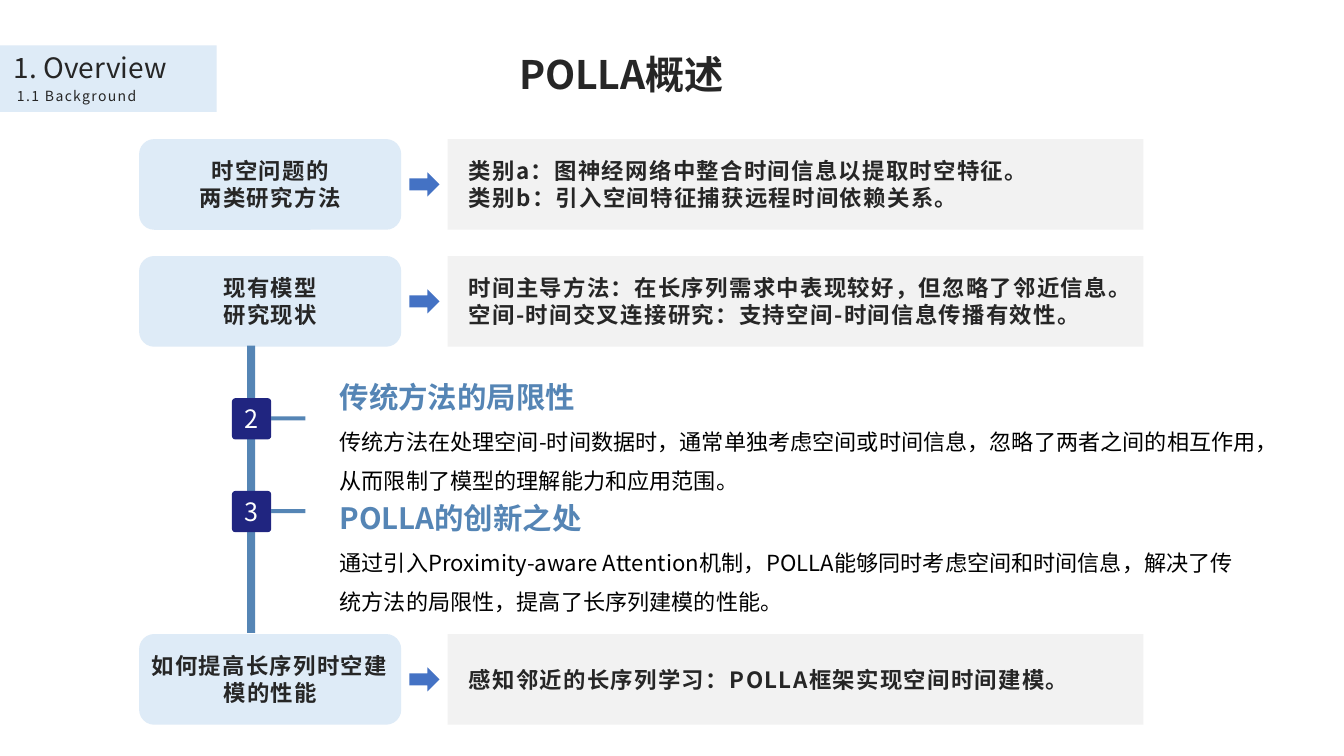
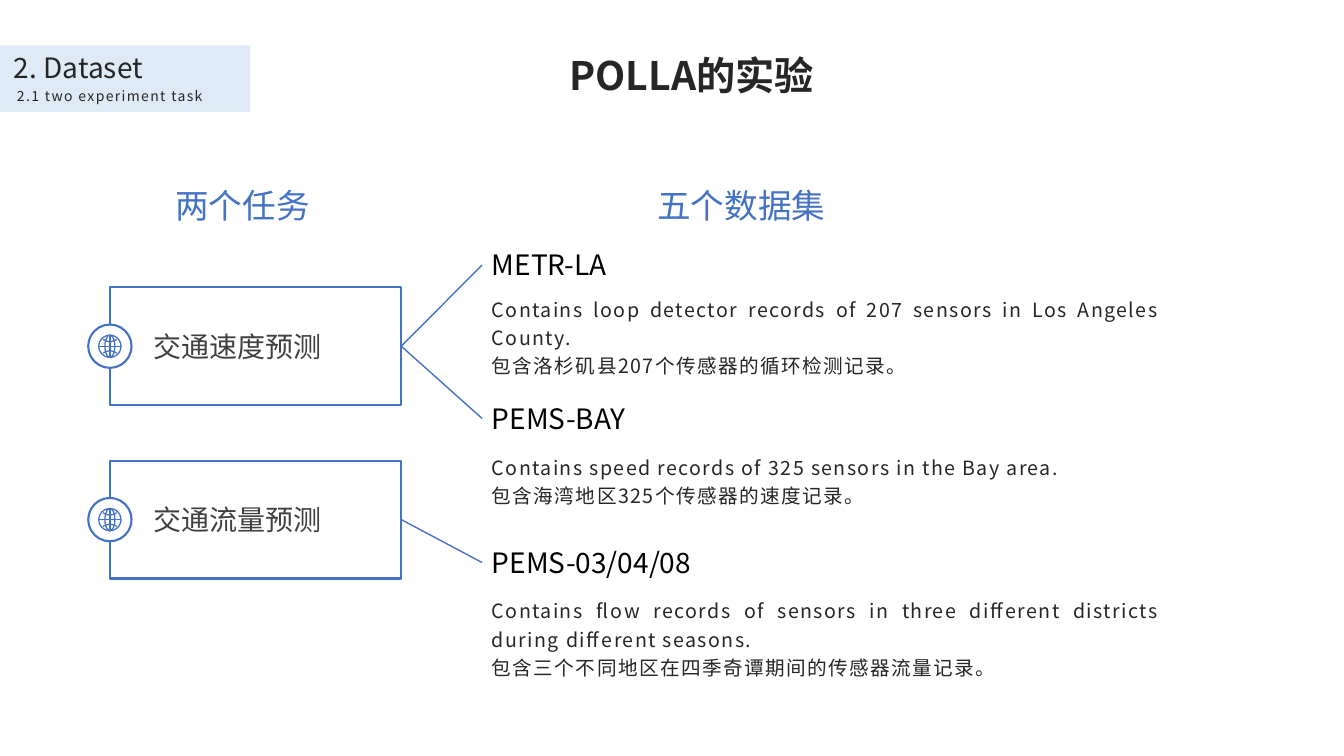
from math import cos, pi, sin

from lxml.etree import SubElement
from pptx import Presentation
from pptx.dml.color import RGBColor
from pptx.enum.shapes import MSO_CONNECTOR, MSO_SHAPE
from pptx.enum.text import MSO_ANCHOR, MSO_AUTO_SIZE, PP_ALIGN
from pptx.oxml.ns import qn
from pptx.util import Inches, Pt

FONT = "Noto Sans CJK SC"
INK, GREY_INK, BLACK, WHITE = "262626", "404040", "000000", "FFFFFF"
PALE_BLUE, PALE_GREY = "DEEBF7", "F2F2F2"
BLUE, STEEL, NAVY = "4472C4", "5585B5", "202580"
TITLE = dict(size=28, bold=True)
TAG_SECTION = dict(size=20)
TAG_TOPIC = dict(size=10, tracking=1, spacing=Pt(14))
ROW = dict(size=16, bold=True, tracking=1)
STEP_HEADING = dict(size=21, color=STEEL, bold=True)
STEP_BODY = dict(size=15.8, color=BLACK, spacing=1.5)
MARKER = dict(size=18, color=WHITE, align=PP_ALIGN.CENTER)
COLUMN_HEADING = dict(size=24, color=BLUE)
TASK = dict(size=20, color=GREY_INK)
DATASET = dict(size=20, color=BLACK)
DETAIL = dict(size=14, tracking=1, spacing=1.2, align=PP_ALIGN.JUSTIFY)


def rgb(value):
    """Turn a hex string into a colour."""
    return RGBColor.from_string(value)


def box_of(*lengths):
    """Turn lengths in inches into drawing units."""
    return [Inches(length) for length in lengths]


def style_paragraph(paragraph, text, size, color=INK, bold=False, tracking=0,
                    spacing=None, align=PP_ALIGN.LEFT):
    """Fill a paragraph and format its run."""
    paragraph.text = text
    paragraph.alignment = align
    if spacing:
        paragraph.line_spacing = spacing
    for run in paragraph.runs:
        run.font.size = Pt(size)
        run.font.bold = bold
        run.font.name = FONT
        run.font.color.rgb = rgb(color)
        properties = run.font._element
        properties.set("spc", str(tracking * 100))
        SubElement(properties, qn("a:ea")).set("typeface", FONT)


def write(frame, lines):
    """Write (text, style) lines into a text frame."""
    frame.word_wrap = True
    for index, (text, style) in enumerate(lines):
        paragraph = frame.add_paragraph() if index else frame.paragraphs[0]
        style_paragraph(paragraph, text, **style)


def add_text(slide, box, lines, anchor=MSO_ANCHOR.TOP):
    """Add a text box that grows with its text."""
    frame = slide.shapes.add_textbox(*box_of(*box)).text_frame
    write(frame, lines)
    frame.vertical_anchor = anchor
    frame.auto_size = MSO_AUTO_SIZE.SHAPE_TO_FIT_TEXT


def add_block(slide, kind, box, fill=None, line=None, lines=(), inset=(0.1, 0.1)):
    """Add a flat shape with optional outline and centred-height text."""
    block = slide.shapes.add_shape(kind, *box_of(*box))
    block.shadow.inherit = False
    if fill:
        block.fill.solid()
        block.fill.fore_color.rgb = rgb(fill)
    else:
        block.fill.background()
    if line:
        block.line.color.rgb = rgb(line)
        block.line.width = Pt(1.5)
    else:
        block.line.fill.background()
    if lines:
        frame = block.text_frame
        write(frame, lines)
        frame.vertical_anchor = MSO_ANCHOR.MIDDLE
        frame.margin_left, frame.margin_right = box_of(*inset)
        frame.margin_top = frame.margin_bottom = 0
    return block


def add_link(slide, start, end):
    """Draw a thin straight line between two points."""
    link = slide.shapes.add_connector(
        MSO_CONNECTOR.STRAIGHT, *box_of(*start, *end))
    link.line.color.rgb = rgb(BLUE)
    link.line.width = Pt(1)
    SubElement(link._element.spPr, qn("a:effectLst"))


def add_header(slide, section, topic, tag_width, title, title_box, align):
    """Add the section tag and the slide title."""
    add_block(slide, MSO_SHAPE.RECTANGLE, (0, 0.45, tag_width, 0.66), PALE_BLUE)
    add_text(slide, (0.04, 0.45, 1.97, 0.44), [(section, TAG_SECTION)])
    add_text(slide, (0.07, 0.79, tag_width, 0.3), [(topic, TAG_TOPIC)])
    add_text(slide, title_box, [(title, dict(TITLE, align=align))])


def add_row(slide, left, top, labels, findings):
    """Add a label, an arrow and the panel it points to."""
    height = 0.9
    centred = dict(ROW, align=PP_ALIGN.CENTER)
    add_block(slide, MSO_SHAPE.ROUNDED_RECTANGLE, (left, top, 2.6, height),
              PALE_BLUE, lines=[(text, centred) for text in labels],
              inset=(0.07, 0.07))
    add_block(slide, MSO_SHAPE.RIGHT_ARROW,
              (left + 2.68, top + 0.33, 0.3, 0.24), BLUE)
    add_block(slide, MSO_SHAPE.RECTANGLE, (left + 3.06, top, 6.9, height),
              PALE_GREY, lines=[(text, ROW) for text in findings],
              inset=(0.21, 0.05))


def add_step(slide, left, top, number, text_box, heading, body):
    """Add a numbered marker with its tick and explanation."""
    width, height = 0.39, 0.41
    marker = add_block(slide, MSO_SHAPE.ROUNDED_RECTANGLE,
                       (left, top, width, height), NAVY,
                       lines=[(number, MARKER)], inset=(0, 0))
    marker.adjustments[0] = 0.09
    add_block(slide, MSO_SHAPE.RECTANGLE,
              (left + width, top + 0.18, 0.34, 0.04), STEEL)
    add_text(slide, text_box, [(heading, STEP_HEADING), (body, STEP_BODY)],
             MSO_ANCHOR.MIDDLE)


def add_globe(slide, x, y, radius):
    """Draw a wire globe around a centre point."""
    steps = 32
    turns = [2 * pi * step / steps for step in range(steps + 1)]
    spans = [step / 4 - 1 for step in range(9)]
    curves = [[(width * cos(turn), sin(turn)) for turn in turns]
              for width in (1, 0.45)]
    curves += [[(0.62 * span, side * (0.42 + 0.2 * span ** 2)) for span in spans]
               for side in (-1, 1)]
    curves += [[(-1, 0), (1, 0)], [(0, -1), (0, 1)]]
    outline = None
    for curve in curves:
        points = [box_of(x + radius * dx, y + radius * dy) for dx, dy in curve]
        if outline is None:
            outline = slide.shapes.build_freeform(*points[0])
        else:
            outline.move_to(*points[0])
        outline.add_line_segments(points[1:], close=False)
    globe = outline.convert_to_shape()
    globe.shadow.inherit = False
    globe.fill.background()
    globe.line.color.rgb = rgb(BLUE)
    globe.line.width = Pt(0.9)


def add_task(slide, left, top, name, target_heights):
    """Add a task card, its globe badge and links to its datasets."""
    width, height, badge = 2.89, 1.17, 0.43
    middle = top + height / 2
    add_block(slide, MSO_SHAPE.RECTANGLE, (left, top, width, height), line=BLUE)
    add_block(slide, MSO_SHAPE.OVAL,
              (left - badge / 2, middle - badge / 2, badge, badge), WHITE, BLUE)
    add_globe(slide, left, middle, 0.11)
    add_text(slide, (left + 0.33, middle - 0.22, 2.21, 0.44), [(name, TASK)])
    for target in target_heights:
        add_link(slide, (left + width, middle), (left + width + 0.8, target))


def add_dataset(slide, left, top, gap, name, details):
    """Add a dataset name and its bilingual description."""
    add_text(slide, (left, top, 2.21, 0.44), [(name, DATASET)])
    add_text(slide, (left, top + gap, 6.82, 0.66),
             [(text, DETAIL) for text in details])


def build_overview(slide):
    """Build the overview slide."""
    add_header(slide, "1. Overview", "1.1 Background", 2.15, "POLLA概述",
               (5.05, 0.45, 3.24, 0.57), PP_ALIGN.LEFT)
    rows = [
        (1.38, ["时空问题的", "两类研究方法"],
         ["类别a：图神经网络中整合时间信息以提取时空特征。",
          "类别b：引入空间特征捕获远程时间依赖关系。"]),
        (2.54, ["现有模型", "研究现状"],
         ["时间主导方法：在长序列需求中表现较好，但忽略了邻近信息。",
          "空间-时间交叉连接研究：支持空间-时间信息传播有效性。"]),
        (6.29, ["如何提高长序列时空建模的性能"],
         ["感知邻近的长序列学习：POLLA框架实现空间时间建模。"]),
    ]
    for top, labels, findings in rows:
        add_row(slide, 1.38, top, labels, findings)
    add_block(slide, MSO_SHAPE.RECTANGLE, (2.45, 3.43, 0.08, 2.85), STEEL)
    steps = [
        (3.95, "2", (3.27, 3.71, 9.59, 1.25), "传统方法的局限性",
         "传统方法在处理空间-时间数据时，通常单独考虑空间或时间信息，"
         "忽略了两者之间的相互作用，从而限制了模型的理解能力和应用范围。"),
        (4.87, "3", (3.27, 4.91, 9.26, 1.25), "POLLA的创新之处",
         "通过引入Proximity-aware Attention机制，POLLA能够同时考虑空间和时间信息，"
         "解决了传统方法的局限性，提高了长序列建模的性能。"),
    ]
    for top, *content in steps:
        add_step(slide, 2.3, top, *content)


def build_dataset(slide):
    """Build the tasks and datasets slide."""
    add_header(slide, "2. Dataset", "2.1 two experiment task", 2.48, "POLLA的实验",
               (4.39, 0.46, 4.94, 0.57), PP_ALIGN.CENTER)
    for left, width, heading in [(1.64, 1.62, "两个任务"), (6.42, 4.17, "五个数据集")]:
        add_text(slide, (left, 1.79, width, 0.5), [(heading, COLUMN_HEADING)])
    datasets = [
        (2.41, 0.45, "METR-LA",
         ["Contains loop detector records of 207 sensors in Los Angeles County.",
          "包含洛杉矶县207个传感器的循环检测记录。"]),
        (3.93, 0.5, "PEMS-BAY",
         ["Contains speed records of 325 sensors in the Bay area.",
          "包含海湾地区325个传感器的速度记录。"]),
        (5.36, 0.49, "PEMS-03/04/08",
         ["Contains flow records of sensors in three different districts "
          "during different seasons.",
          "包含三个不同地区在四季奇谭期间的传感器流量记录。"]),
    ]
    for dataset in datasets:
        add_dataset(slide, 4.78, *dataset)
    name_middles = [top + 0.22 for top, *_ in datasets]
    add_task(slide, 1.09, 2.85, "交通速度预测", name_middles[:2])
    add_task(slide, 1.09, 4.57, "交通流量预测", name_middles[2:])


def main():
    """Build and save the presentation."""
    deck = Presentation()
    deck.slide_width, deck.slide_height = box_of(13.33, 7.5)
    for build in (build_overview, build_dataset):
        build(deck.slides.add_slide(deck.slide_layouts[6]))
    deck.save("out.pptx")


if __name__ == "__main__":
    main()
